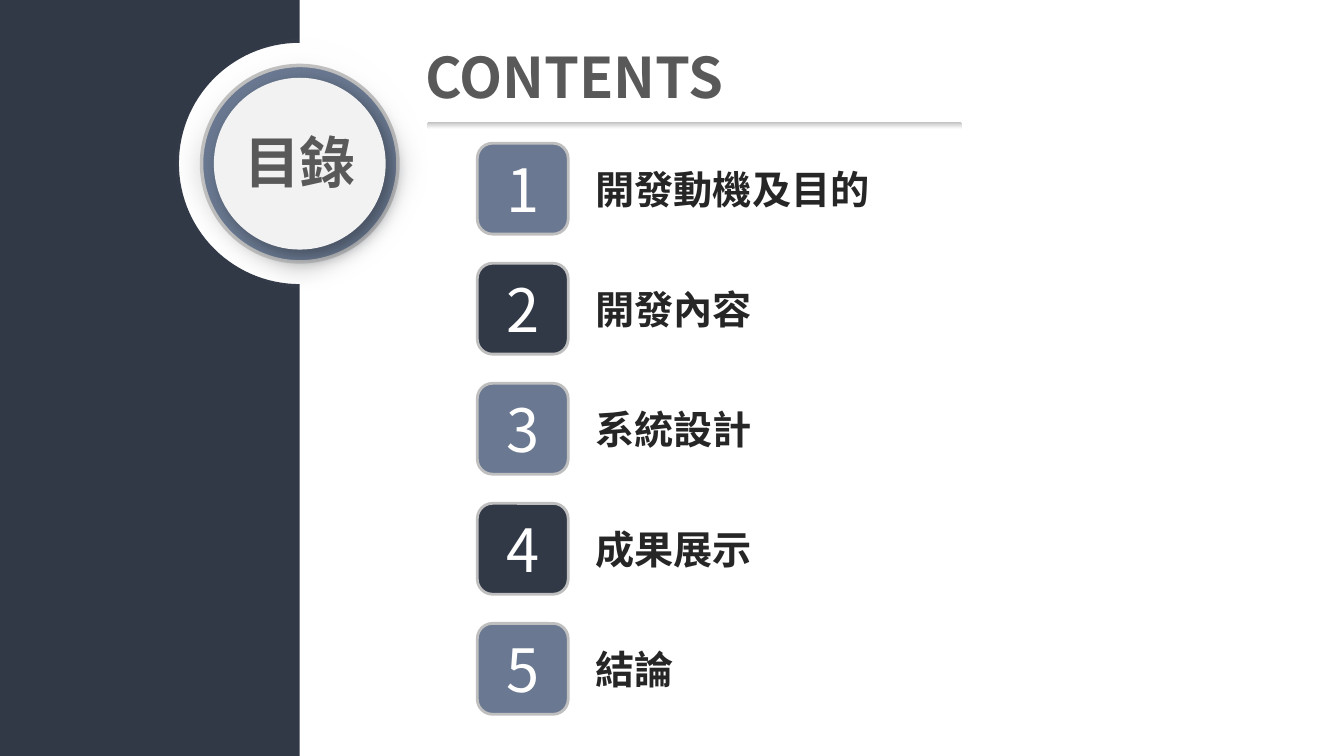
import math

from lxml import etree
from pptx import Presentation
from pptx import util as u
from pptx.dml.color import RGBColor
from pptx.enum import shapes, text
from pptx.oxml import ns

NAVY = RGBColor(0x31, 0x38, 0x46)
SLATE = RGBColor(0x6A, 0x79, 0x91)
SHADE = RGBColor(0x35, 0x3C, 0x48)
SILVER = RGBColor(0xBF, 0xBF, 0xBF)
PALE = RGBColor(0xF2, 0xF2, 0xF2)
WHITE = RGBColor(0xFF, 0xFF, 0xFF)
GRAY = RGBColor(0x59, 0x59, 0x59)
BLACK = RGBColor(0x26, 0x26, 0x26)

FONT = "Noto Sans CJK SC"
HEADING = {"size": u.Pt(40), "bold": True, "color": GRAY}
LABEL = {"size": u.Pt(28), "bold": True, "color": BLACK}
NUMBER = {"size": u.Pt(42.6), "bold": False, "color": WHITE}
TOPICS = ["開發動機及目的", "開發內容", "系統設計", "成果展示", "結論"]


def lengths(box):
    """Turn a box in centimetres into slide lengths."""
    return [u.Cm(value) for value in box]


def write(shape, wording, style, align, anchor=text.MSO_ANCHOR.TOP):
    """Put one formatted paragraph into a shape."""
    frame = shape.text_frame
    frame.word_wrap = True
    frame.vertical_anchor = anchor
    para = frame.paragraphs[0]
    para.alignment = align
    span = para.add_run()
    span.text = wording
    for name, value in {"name": FONT, **style}.items():
        if name == "color":
            span.font.color.rgb = value
        else:
            setattr(span.font, name, value)
    east = etree.SubElement(span.font._element, ns.qn("a:ea"))
    east.set("typeface", FONT)


def add_text(page, box, wording, style, align):
    """Add a text box that grows with its wording."""
    shape = page.shapes.add_textbox(*lengths(box))
    write(shape, wording, style, align)
    shape.text_frame.auto_size = text.MSO_AUTO_SIZE.SHAPE_TO_FIT_TEXT


def add_figure(page, kind, box, fill, outline=None, width=2):
    """Add a preset shape; a pair of colours gives a downward gradient."""
    shape = page.shapes.add_shape(kind, *lengths(box))
    shape.shadow.inherit = False
    if isinstance(fill, RGBColor):
        shape.fill.solid()
        shape.fill.fore_color.rgb = fill
    else:
        shape.fill.gradient()
        shape.fill.gradient_angle = 270
        for stop, color in zip(shape.fill.gradient_stops, fill):
            stop.color.rgb = color
    if outline is None:
        shape.line.fill.background()
    else:
        shape.line.color.rgb = outline
        shape.line.width = u.Pt(width)
    return shape


def add_effect(shape, name, **settings):
    """Add one effect to a shape and return its element."""
    effects = shape._element.spPr.find(ns.qn("a:effectLst"))
    effect = etree.SubElement(effects, ns.qn(name))
    for key, value in settings.items():
        effect.set(key, str(value))
    return effect


def add_side_panel(page, box, center_y, radius):
    """Draw the dark panel with a half-round notch in its right edge."""
    left, top, width, height = box
    right, bottom = left + width, top + height
    notch = [
        (right - radius * math.sin(math.radians(angle)),
         center_y - radius * math.cos(math.radians(angle)))
        for angle in range(0, 181, 3)
    ]
    outline = [(right, top), *notch, (right, bottom), (left, bottom)]
    builder = page.shapes.build_freeform(u.Cm(left), u.Cm(top))
    builder.add_line_segments([lengths(point) for point in outline])
    panel = builder.convert_to_shape()
    panel.shadow.inherit = False
    panel.fill.solid()
    panel.fill.fore_color.rgb = NAVY
    panel.line.fill.background()


def add_badge(page, box, wording):
    """Draw the round badge as concentric discs with a caption."""
    left, top, size, _ = box

    def disc(inset, *look):
        """Add one disc inset from the badge's box."""
        side = size - 2 * inset
        place = (left + inset, top + inset, side, side)
        return add_figure(page, shapes.MSO_SHAPE.OVAL, place, *look)

    halo = disc(0, (WHITE, SILVER))
    add_effect(halo, "a:softEdge", rad=u.Pt(18))
    disc(0.84, SLATE, SILVER, 2.5)
    face = disc(1.15, PALE)
    shadow = add_effect(face, "a:outerShdw", blurRad=u.Pt(12), dist=u.Pt(6),
                        dir=45 * 60000, algn="tl", rotWithShape=0)
    color = etree.SubElement(shadow, ns.qn("a:srgbClr"), val=str(SHADE))
    etree.SubElement(color, ns.qn("a:alpha"), val="64000")
    caption = (left + 0.97, top + 2.29, 4.7, 1.96)
    add_text(page, caption, wording, HEADING, text.PP_ALIGN.CENTER)


def add_heading(page, box, wording):
    """Place the title and the shaded bar below it."""
    left, top, width, height = box
    title = page.shapes.title
    places = lengths((left, top, width - 1.99, height))
    for name, value in zip(("left", "top", "width", "height"), places):
        setattr(title, name, value)
    write(title, wording, HEADING, text.PP_ALIGN.LEFT)
    bar = add_figure(page, shapes.MSO_SHAPE.ROUNDED_RECTANGLE,
                     (left + 0.3, top + 2.13, width - 0.3, 0.18),
                     (SILVER, WHITE))
    bar.adjustments[0] = 0.5


def add_topics(page, box, topics):
    """Stack numbered tiles with labels at equal steps in the box."""
    left, top, width, height = box
    tile = 2.29
    step = (height - tile) / (len(topics) - 1)
    for index, topic in enumerate(topics):
        row = top + index * step
        add_text(page, (left + 2.73, row + 0.43, width - 2.73, 1.45),
                 topic, LABEL, text.PP_ALIGN.JUSTIFY)
        square = add_figure(page, shapes.MSO_SHAPE.ROUNDED_RECTANGLE,
                            (left, row, tile, tile),
                            NAVY if index % 2 else SLATE, SILVER)
        write(square, str(index + 1), NUMBER, text.PP_ALIGN.CENTER,
              text.MSO_ANCHOR.MIDDLE)


def add_contents_page(deck):
    """Build the contents page."""
    page = deck.slides.add_slide(deck.slide_layouts[5])
    add_side_panel(page, (-0.33, 0, 7.88, 19.05), 4.12, 3.04)
    add_badge(page, (4.24, 0.81, 6.63, 6.63), "目錄")
    add_heading(page, (10.46, 0.94, 13.79, 1.96), "CONTENTS")
    add_topics(page, (12.03, 3.61, 10.93, 14.39), TOPICS)


def main():
    """Create the deck and save it."""
    deck = Presentation()
    deck.slide_width, deck.slide_height = u.Cm(33.87), u.Cm(19.05)
    add_contents_page(deck)
    deck.save("out.pptx")


if __name__ == "__main__":
    main()
